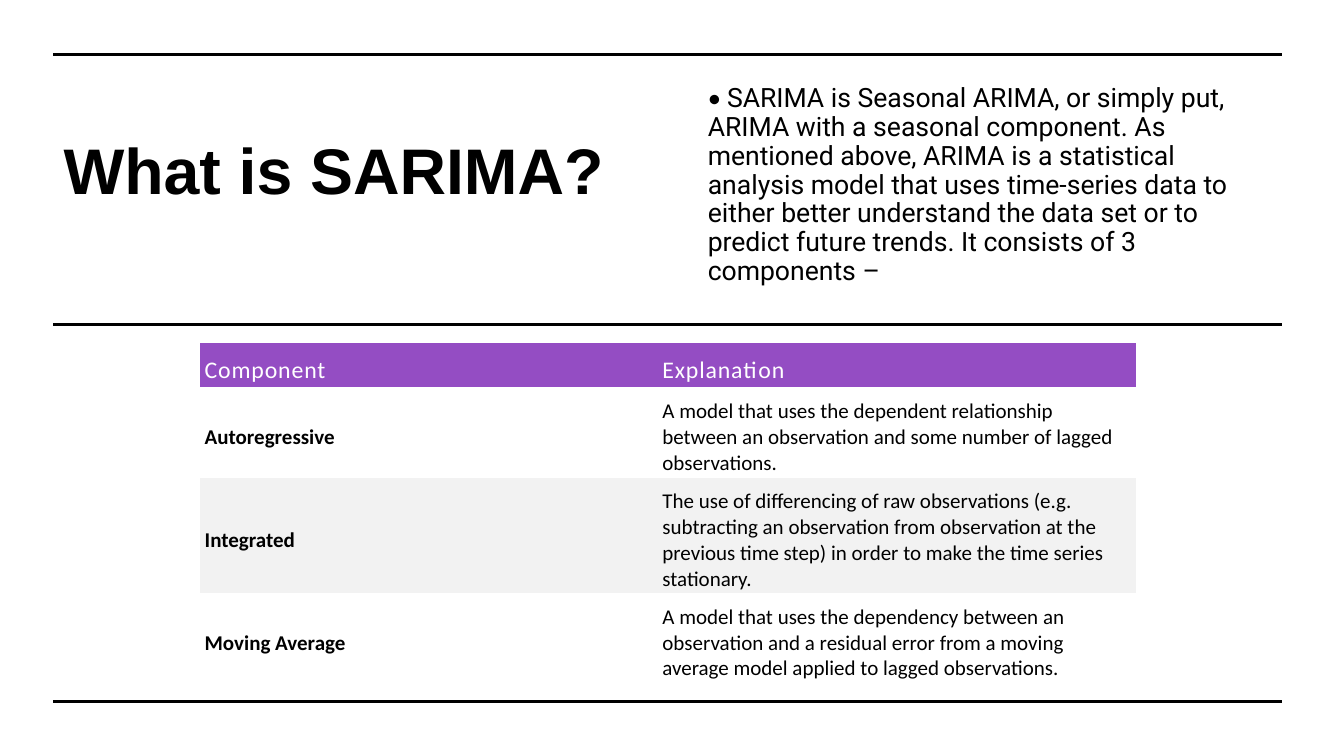
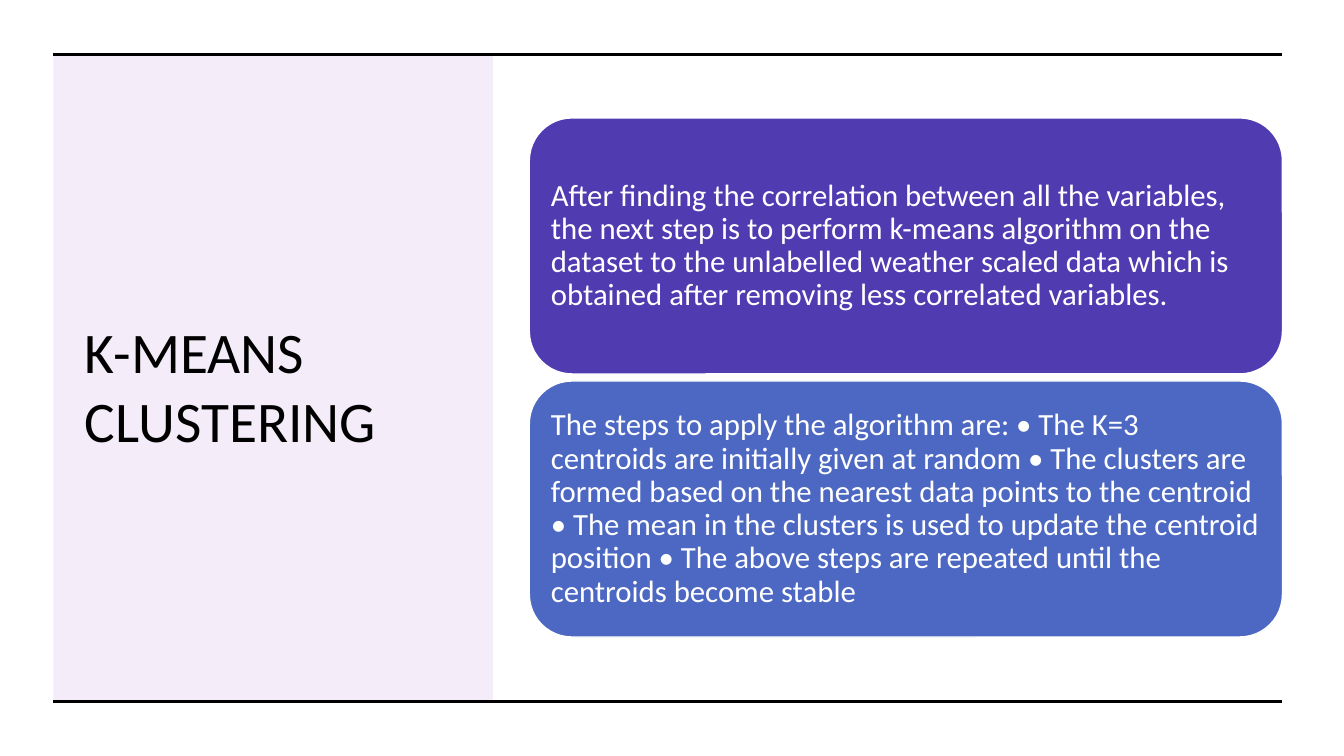
from pptx import Presentation
from pptx.dml.color import RGBColor
from pptx.enum.shapes import MSO_CONNECTOR, MSO_SHAPE
from pptx.enum.text import MSO_ANCHOR, MSO_AUTO_SIZE, PP_ALIGN
from pptx.oxml.ns import qn
from pptx.util import Emu, Pt
from lxml.etree import SubElement

BLACK, WHITE, PURPLE, GREY = "000000", "FFFFFF", "944DC3", "F2F2F2"
INDIGO, BLUE = "503BB1", "4D68C3"
LEFT, RIGHT, TOP, MIDDLE, BOTTOM = 53, 1272, 54, 322, 696

ROWS = [
    ("Component", "Explanation"),
    ("Autoregressive",
     "A model that uses the dependent relationship between an observation "
     "and some number of lagged observations."),
    ("Integrated",
     "The use of differencing of raw observations (e.g. subtracting an "
     "observation from observation at the previous time step) in order to "
     "make the time series stationary."),
    ("Moving Average",
     "A model that uses the dependency between an observation and a residual "
     "error from a moving average model applied to lagged observations."),
]
CARDS = [
    (INDIGO,
     "After finding the correlation between all the variables, the next step "
     "is to perform k-means algorithm on the dataset to the unlabelled "
     "weather scaled data which is obtained after removing less correlated "
     "variables."),
    (BLUE,
     "The steps to apply the algorithm are: • The K=3 centroids are initially "
     "given at random • The clusters are formed based on the nearest data "
     "points to the centroid • The mean in the clusters is used to update the "
     "centroid position • The above steps are repeated until the centroids "
     "become stable"),
]


def px(count):
    return Emu(count * 9144)


def color(code):
    return RGBColor.from_string(code)


def style(para, size, code, face="Calibri", bold=False, spacing=1.0):
    para.alignment = PP_ALIGN.LEFT
    para.line_spacing = spacing
    font = para.font
    font.size, font.name, font.bold = Pt(size), face, bold
    font.color.rgb = color(code)


def place(shape, x, y, w, h):
    shape.left, shape.top, shape.width, shape.height = map(px, (x, y, w, h))
    frame = shape.text_frame
    frame.word_wrap = True
    frame.auto_size = MSO_AUTO_SIZE.NONE
    frame.vertical_anchor = MSO_ANCHOR.MIDDLE
    return frame


def title(slide, text, box, size, **look):
    frame = place(slide.shapes.title, *box)
    frame.text = text
    style(frame.paragraphs[0], size, BLACK, **look)
    return frame


def rule(slide, y):
    line = slide.shapes.add_connector(
        MSO_CONNECTOR.STRAIGHT, px(LEFT), px(y), px(RIGHT), px(y))
    line.line.color.rgb = color(BLACK)
    line.line.width = Pt(2.25)
    SubElement(line._element.spPr, qn("a:effectLst"))


def block(slide, kind, box, fill):
    shape = slide.shapes.add_shape(kind, *map(px, box))
    shape.shadow.inherit = False
    shape.fill.solid()
    shape.fill.fore_color.rgb = color(fill)
    return shape


def panel(slide, box, fill, alpha):
    shape = block(slide, MSO_SHAPE.RECTANGLE, box, fill)
    shape.line.fill.background()
    tint = shape._element.spPr.find(qn("a:solidFill"))[0]
    SubElement(tint, qn("a:alpha"), val=str(alpha * 1000))
    slide.shapes._spTree.insert(2, shape._element)


def card(slide, box, fill, text):
    shape = block(slide, MSO_SHAPE.ROUNDED_RECTANGLE, box, fill)
    shape.line.color.rgb = color(WHITE)
    shape.line.width = Pt(1)
    frame = place(shape, *box)
    frame.margin_left = frame.margin_right = px(9)
    frame.margin_top = frame.margin_bottom = px(9)
    frame.text = text
    style(frame.paragraphs[0], 22, WHITE, spacing=0.9)


def body(slide, text, box):
    frame = place(slide.placeholders[1], *box)
    frame.margin_bottom = px(45)
    para = frame.paragraphs[0]
    mark, words = para.add_run(), para.add_run()
    mark.text, words.text = "• ", text
    style(para, 19, BLACK, "Roboto", spacing=0.9)
    mark.font.name = "Calibri"
    para.space_before = Pt(10)
    props = para._p.get_or_add_pPr()
    props.set("marL", "0")
    props.set("indent", "0")
    SubElement(props, qn("a:buNone"))
    props.append(props.find(qn("a:defRPr")))


def fill_cell(cell, text, row, col):
    cell.text = text
    cell.vertical_anchor = MSO_ANCHOR.MIDDLE
    cell.margin_left = cell.margin_right = px(5)
    cell.margin_top, cell.margin_bottom = px(11), px(1)
    para = cell.text_frame.paragraphs[0]
    if row == 0:
        style(para, 17, WHITE)
        para.runs[0].font._element.set("spc", "60")
    else:
        style(para, 15, BLACK, bold=col == 0)
    shade = {0: PURPLE, 2: GREY}.get(row)
    if shade:
        cell.fill.solid()
        cell.fill.fore_color.rgb = color(shade)
    else:
        cell.fill.background()


def grid(slide, x, y, widths, heights, rows):
    table = slide.shapes.add_table(
        len(rows), len(widths), px(x), px(y),
        px(sum(widths)), px(sum(heights))).table
    table.first_row = table.horz_banding = False
    plain = "{2D5ABB26-0587-4C30-8999-92F81FD0307C}"
    table._tbl.tblPr.find(qn("a:tableStyleId")).text = plain
    for col, width in zip(table.columns, widths):
        col.width = px(width)
    for row, height in zip(table.rows, heights):
        row.height = px(height)
    for r, texts in enumerate(rows):
        for c, text in enumerate(texts):
            fill_cell(table.cell(r, c), text, r, c)


def start(deck, layout):
    slide = deck.slides.add_slide(deck.slide_layouts[layout])
    for y in (TOP, BOTTOM):
        rule(slide, y)
    return slide


def sarima(deck):
    slide = start(deck, 1)
    rule(slide, MIDDLE)
    frame = title(slide, "What is SARIMA?", (LEFT, 107, 614, 194), 46,
                  face="Arial", bold=True, spacing=0.9)
    frame.vertical_anchor = MSO_ANCHOR.TOP
    frame.margin_top = px(31)
    body(slide,
         "SARIMA is Seasonal ARIMA, or simply put, ARIMA with a seasonal "
         "component. As mentioned above, ARIMA is a statistical analysis "
         "model that uses time-series data to either better understand the "
         "data set or to predict future trends. It consists of 3 "
         "components –", (692, 107, 559, 194))
    grid(slide, 198, 340, (454, 475), (44, 90, 114, 90), ROWS)


def kmeans(deck):
    slide = start(deck, 5)
    panel(slide, (LEFT, TOP, 436, BOTTOM - TOP), PURPLE, 10)
    title(slide, "K-MEANS CLUSTERING", (74, 107, 389, 550), 41)
    left, top, height, gap = 525, 117, 254, 7
    for n, (fill, text) in enumerate(CARDS):
        box = (left, top + n * (height + gap), RIGHT - left, height)
        card(slide, box, fill, text)


def main():
    deck = Presentation()
    deck.slide_width, deck.slide_height = px(1333), px(750)
    sarima(deck)
    kmeans(deck)
    deck.save("out.pptx")


if __name__ == "__main__":
    main()
